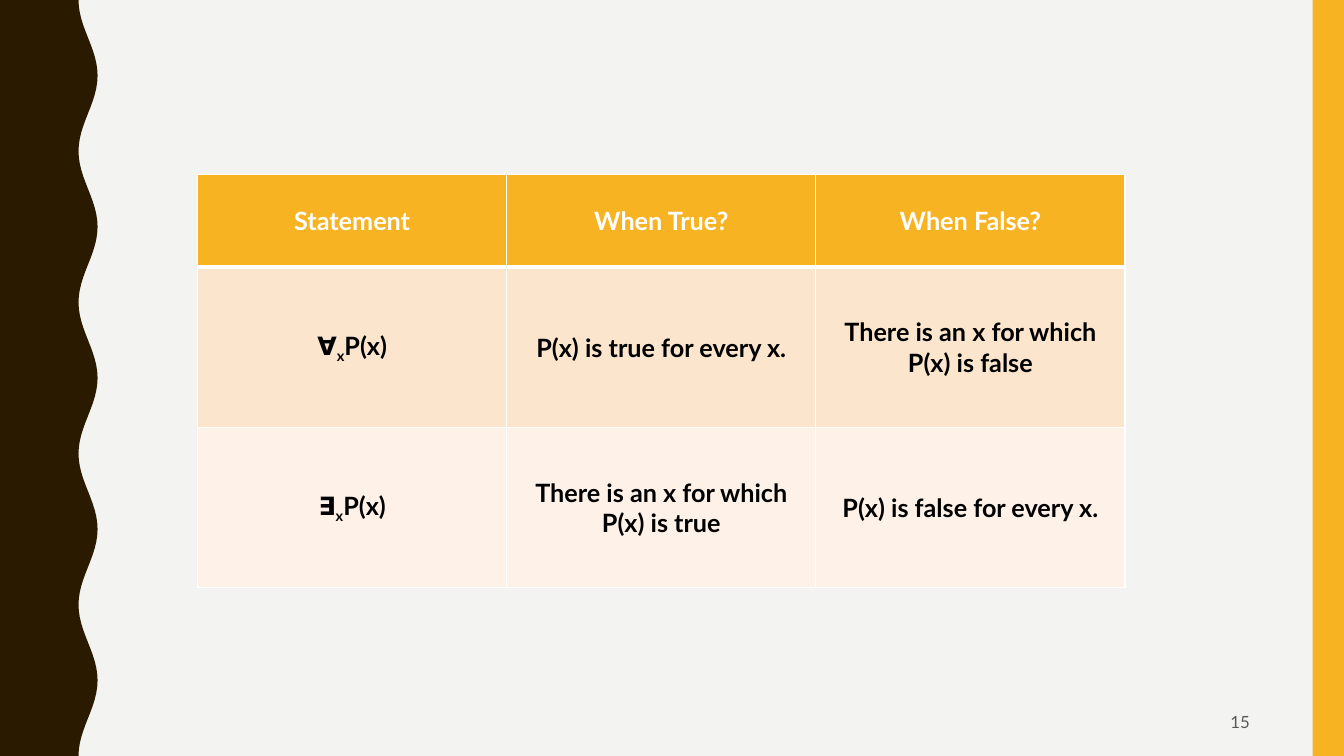
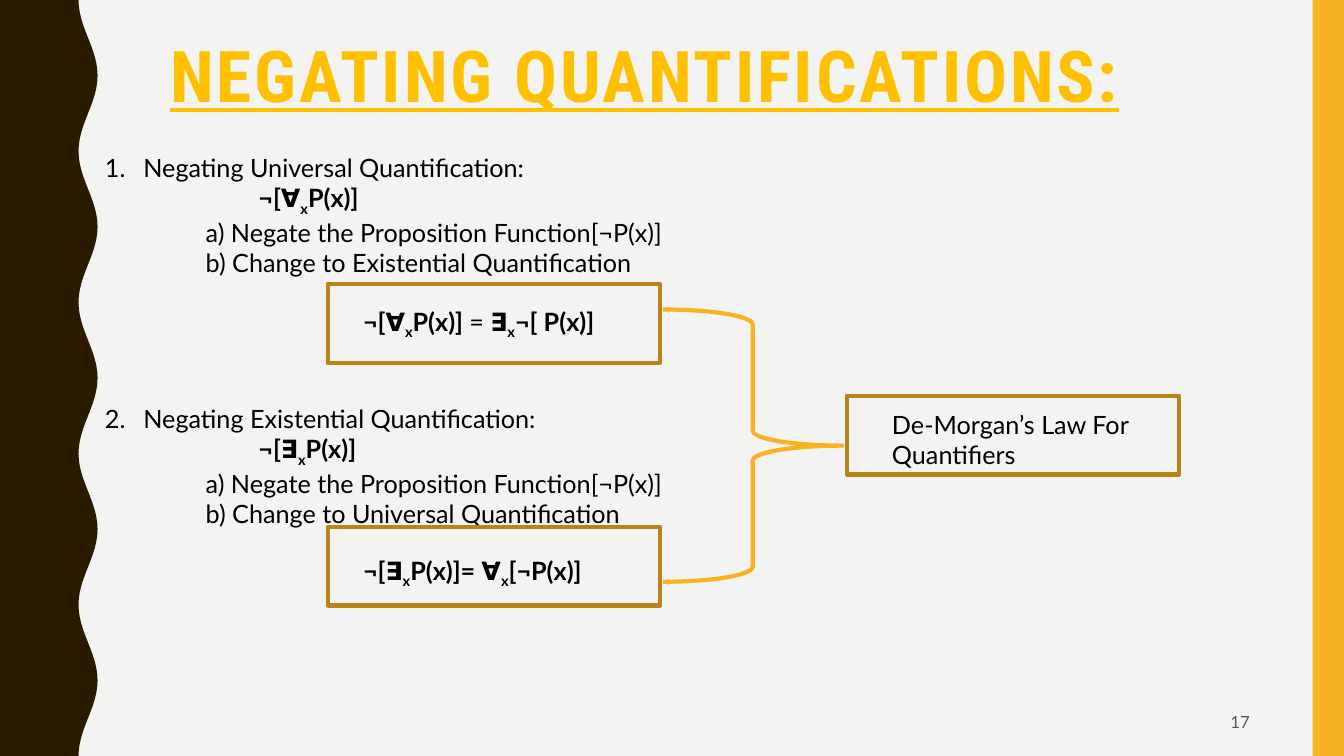
import math

from lxml import etree
from pptx import Presentation
from pptx.dml.color import RGBColor
from pptx.enum import shapes, text
from pptx.oxml import ns
from pptx.util import Cm, Pt

WIDTH, HEIGHT = 33.87, 19.05
PAPER, BROWN, GOLD, DARK_GOLD = "F3F3F2", "2A1A00", "F8B323", "B7841A"
TITLE_GOLD, GREY, BLACK, WHITE = "FFC000", "595959", "000000", "FFFFFF"
PEACH, PALE_PEACH = "FCE5CD", "FEF2E8"
BODY_FONT, TITLE_FONT = "Lato", "Roboto Condensed"
SUBSCRIPT = "_x"


def rgb(value):
    return RGBColor.from_string(value)


def child(parent, tag, **attributes):
    return etree.SubElement(parent, ns.qn(tag), attributes)


def cm_box(box):
    return [Cm(value) for value in box]


def write(p, content, size=18, color=BLACK, bold=False, font=BODY_FONT,
          underline=None, spacing=None):
    def add_run(value, subscript=False):
        r = p.add_run()
        r.text = value
        r.font.name, r.font.size = font, Pt(size)
        r.font.bold, r.font.underline = bold, underline
        r.font.color.rgb = rgb(color)
        rPr = r.font._element
        if subscript:
            rPr.set("baseline", "-25000")
        if spacing:
            rPr.set("spc", str(spacing * 100))

    for i, part in enumerate(content.split(SUBSCRIPT)):
        if i:
            add_run("x", subscript=True)
        if part:
            add_run(part)


def paint(sp, fill=None, line=None):
    sp.shadow.inherit = False
    if fill:
        sp.fill.solid()
        sp.fill.fore_color.rgb = rgb(fill)
    else:
        sp.fill.background()
    if line:
        sp.line.color.rgb = rgb(line)
        sp.line.width = Pt(3)
    else:
        sp.line.fill.background()


def add_wave(s, crest=2.46, trough=1.98, period=3.81, steps=120):
    middle, swing = (crest + trough) / 2, (crest - trough) / 2
    edge = []
    for i in range(steps + 1):
        y = HEIGHT * i / steps
        x = middle - swing * math.cos(2 * math.pi * y / period)
        edge.append((Cm(x), Cm(y)))
    outline = s.shapes.build_freeform(0, 0)
    outline.add_line_segments(edge + [(0, Cm(HEIGHT))])
    paint(outline.convert_to_shape(), BROWN)


def add_frame(s, number):
    add_wave(s)
    band = 0.79
    sp = s.shapes.add_shape(shapes.MSO_SHAPE.RECTANGLE,
                            *cm_box((WIDTH - band, 0, band, HEIGHT)))
    paint(sp, GOLD)
    tf = s.shapes.add_textbox(*cm_box((23.93, 17.7, 7.82, 0.97))).text_frame
    tf.word_wrap = True
    tf.vertical_anchor = text.MSO_ANCHOR.MIDDLE
    p = tf.paragraphs[0]
    p.alignment = text.PP_ALIGN.RIGHT
    write(p, str(number), size=12, color=GREY)


def place(sp, box):
    sp.left, sp.top, sp.width, sp.height = cm_box(box)
    tf = sp.text_frame
    tf.auto_size = text.MSO_AUTO_SIZE.NONE
    tf.vertical_anchor = text.MSO_ANCHOR.TOP
    return tf


def add_title(s, box, content):
    p = place(s.shapes.title, box).paragraphs[0]
    p.alignment = text.PP_ALIGN.LEFT
    p.line_spacing = 0.9
    write(p, content, size=51, color=TITLE_GOLD, bold=True, font=TITLE_FONT,
          underline=True, spacing=2)


def add_line(p, content, indent, hanging=0, number=None, bold=False, before=0):
    p.space_before = Pt(before)
    pPr = p._p.get_or_add_pPr()
    pPr.set("marL", str(Cm(indent)))
    pPr.set("indent", str(-Cm(hanging)))
    if number:
        child(pPr, "a:buFont", typeface="+mj-lt")
        child(pPr, "a:buAutoNum", type="arabicPeriod", startAt=str(number))
    else:
        child(pPr, "a:buNone")
    write(p, content, bold=bold)


def add_sections(s, box, sections, gap):
    tf = place(s.placeholders[1], box)
    for number, (heading, formula, steps) in enumerate(sections, 1):
        p = tf.paragraphs[0] if number == 1 else tf.add_paragraph()
        add_line(p, heading, 0.97, hanging=0.97, number=number,
                 before=gap if number > 1 else 0)
        add_line(tf.add_paragraph(), formula, 3.87, bold=True)
        for step in steps:
            add_line(tf.add_paragraph(), step, 2.54)


def add_box(s, left, top, parts, inset=0.89, drop=0):
    sp = s.shapes.add_shape(shapes.MSO_SHAPE.RECTANGLE,
                            *cm_box((left, top, 8.38, 1.98)))
    paint(sp, line=DARK_GOLD)
    tf = sp.text_frame
    tf.word_wrap = True
    tf.vertical_anchor = text.MSO_ANCHOR.MIDDLE
    tf.margin_left = Cm(inset)
    tf.margin_top = Cm(0.13 + 2 * drop)
    p = tf.paragraphs[0]
    p.alignment = text.PP_ALIGN.LEFT
    for content, bold in parts:
        write(p, content, bold=bold)


def set_borders(cell, header):
    tcPr = cell._tc.get_or_add_tcPr()
    for i, side in enumerate(("L", "R", "T", "B")):
        points = 3 if header and side == "B" else 1
        ln = child(tcPr, "a:ln" + side, w=str(Pt(points)))
        child(child(ln, "a:solidFill"), "a:srgbClr", val=WHITE)
        tcPr.insert(i, ln)


def add_grid(s, box, rows, heights):
    fills = (GOLD, PEACH, PALE_PEACH)
    frame = s.shapes.add_table(len(rows), len(rows[0]), *cm_box(box))
    table = frame.table
    for column in table.columns:
        column.width = Cm(box[2] / len(rows[0]))
    for i, row in enumerate(rows):
        table.rows[i].height = Cm(heights[i])
        for j, content in enumerate(row):
            cell = table.cell(i, j)
            cell.vertical_anchor = text.MSO_ANCHOR.MIDDLE
            cell.fill.solid()
            cell.fill.fore_color.rgb = rgb(fills[i])
            set_borders(cell, header=i == 0)
            tf = cell.text_frame
            for k, line in enumerate(content.split("\n")):
                p = tf.add_paragraph() if k else tf.paragraphs[0]
                p.alignment = text.PP_ALIGN.CENTER
                write(p, line, bold=True, color=BLACK if i else WHITE)


def truth_slide(prs):
    s = prs.slides.add_slide(prs.slide_layouts[6])
    add_frame(s, 15)
    rows = [
        ("Statement", "When True?", "When False?"),
        ("∀_xP(x)", "P(x) is true for every x.",
         "There is an x for which\nP(x) is false"),
        ("∃_xP(x)", "There is an x for which\nP(x) is true",
         "P(x) is false for every x."),
    ]
    heights = (2.34, 4.04, 4.04)
    add_grid(s, (4.98, 4.39, 23.37, sum(heights)), rows, heights)


def negation_slide(prs):
    s = prs.slides.add_slide(prs.slide_layouts[1])
    add_frame(s, 17)
    add_title(s, (4.04, 0.91, 27.71, 2.49), "NEGATING QUANTIFICATIONS:")
    negate = "a) Negate the Proposition Function[¬P(x)]"
    sections = [
        ("Negating Universal Quantification:", "¬[∀_xP(x)]",
         (negate, "b) Change to Existential Quantification")),
        ("Negating Existential Quantification:", "¬[∃_xP(x)]",
         (negate, "b) Change to Universal Quantification")),
    ]
    add_sections(s, (2.39, 3.71, 30, 12.57), sections, gap=90)
    add_box(s, 8.26, 7.16, [("¬[∀_xP(x)] ", True), ("= ", False),
                            ("∃_x¬[ P(x)]", True)])
    add_box(s, 8.26, 13.28, [("¬[∃_xP(x)]= ∀_x[¬P(x)]", True)], drop=0.15)
    add_box(s, 21.34, 9.98, [("De-Morgan’s Law For Quantifiers", False)],
            inset=1.14, drop=0.1)
    brace = s.shapes.add_shape(shapes.MSO_SHAPE.RIGHT_BRACE,
                               *cm_box((16.71, 7.8, 4.52, 6.86)))
    paint(brace, line=GOLD)


prs = Presentation()
prs.slide_width, prs.slide_height = Cm(WIDTH), Cm(HEIGHT)
background = prs.slide_master.background.fill
background.solid()
background.fore_color.rgb = rgb(PAPER)
truth_slide(prs)
negation_slide(prs)
prs.save("out.pptx")
